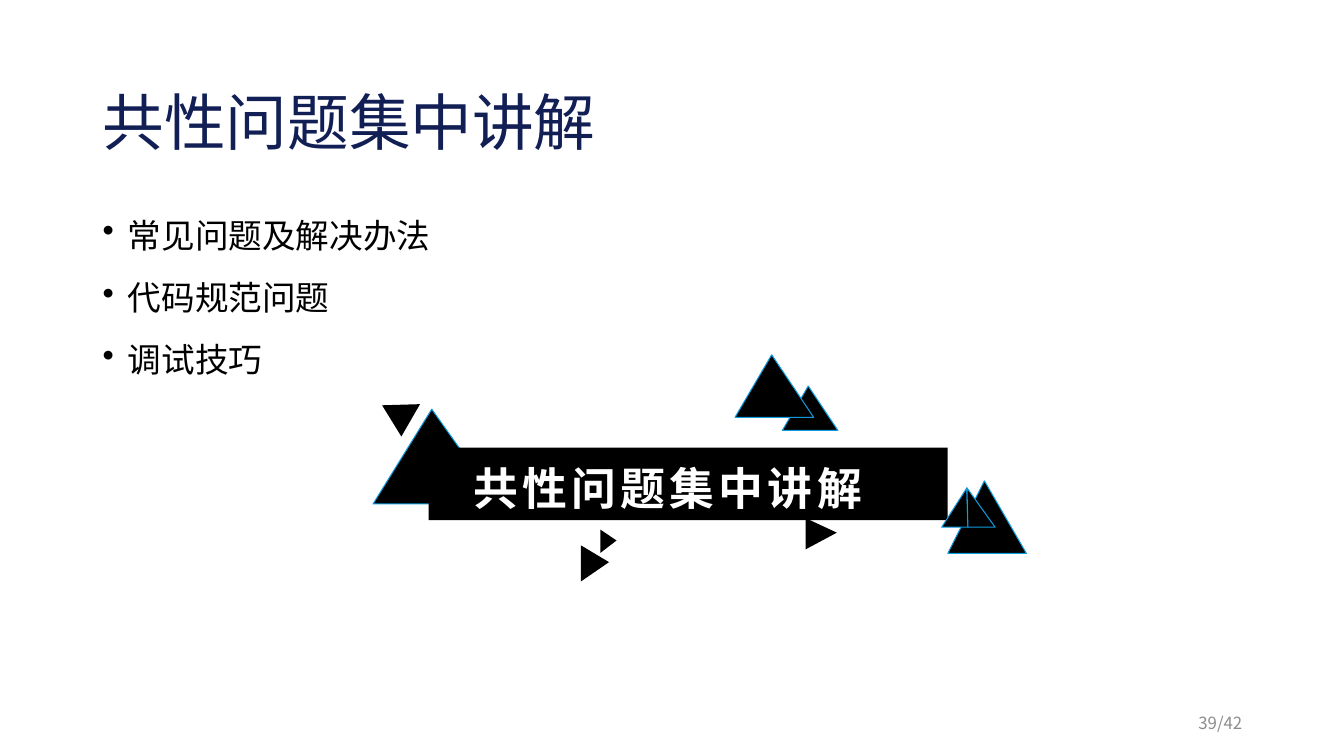
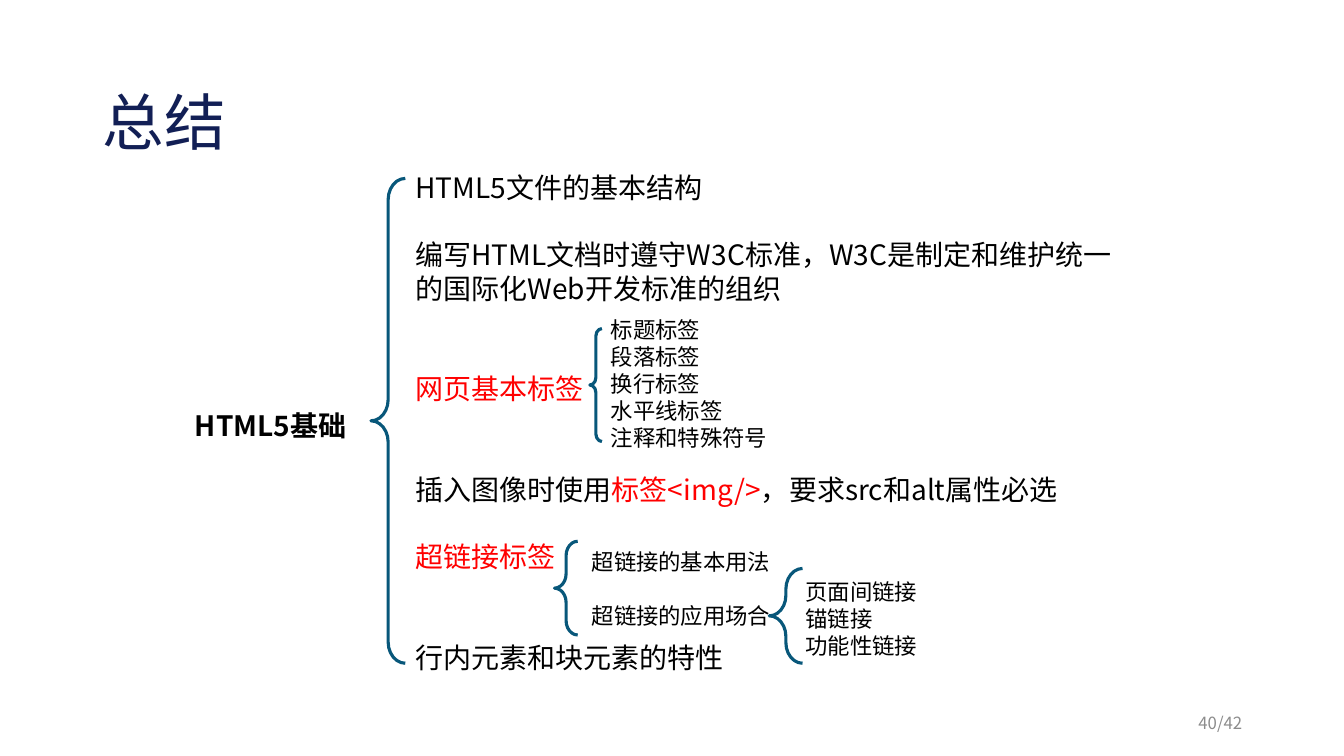
"""Build two course slides: a topic page with a banner and a bracketed summary."""
from dataclasses import dataclass

from lxml import etree
from pptx import Presentation
from pptx import util as u
from pptx.dml.color import RGBColor
from pptx.enum import shapes, text
from pptx.oxml.ns import qn


@dataclass(frozen=True)
class Theme:
    """Colours, font and type sizes shared by the slides."""
    font: str = "Noto Sans CJK SC"
    title: str = "121F55"
    ink: str = "000000"
    paper: str = "FFFFFF"
    accent: str = "FF0000"
    edge: str = "0E9CDE"
    brace: str = "08577A"
    footer: str = "8C8C8C"
    title_size: int = 44
    banner_size: int = 32
    body_size: int = 24
    outline_size: int = 20
    detail_size: int = 16
    footer_size: int = 12


@dataclass(frozen=True)
class Line:
    """One paragraph: (text, colour) runs and the points of space above."""
    runs: tuple
    gap: int = 0


THEME = Theme()
PAGE_COUNT = 42
TRIANGLE_SKEW = 0.466
BRACE_CURVE = 0.62


def rgb(colour):
    """Turn a hex string into a colour."""
    return RGBColor.from_string(colour)


def inches(*lengths):
    """Turn numbers into lengths in inches."""
    return [u.Inches(length) for length in lengths]


def add_bullet(paragraph):
    """Give a paragraph a hanging round bullet."""
    properties = paragraph._p.get_or_add_pPr()
    properties.set("marL", str(u.Inches(0.25)))
    properties.set("indent", str(-u.Inches(0.25)))
    etree.SubElement(properties, qn("a:buChar"), char="•")


def add_run(paragraph, wording, size, colour, bold, tracking):
    """Add one formatted run, with the font set for all scripts."""
    run = paragraph.add_run()
    run.text = wording
    run.font.name = THEME.font
    run.font.size = u.Pt(size)
    run.font.bold = bold
    run.font.color.rgb = rgb(colour)
    properties = run._r.get_or_add_rPr()
    etree.SubElement(properties, qn("a:ea"), typeface=THEME.font)
    if tracking:
        properties.set("spc", str(tracking * 100))


def write(frame, lines, *, size, colour=THEME.ink, bold=False, tracking=0, gap=0,
          leading=None, bullets=False, align=text.PP_ALIGN.LEFT,
          anchor=text.MSO_ANCHOR.TOP):
    """Fill a text frame with strings or Lines in one format."""
    frame.word_wrap = True
    frame.vertical_anchor = anchor
    for index, line in enumerate(lines):
        if isinstance(line, str):
            line = Line(((line, colour),), gap)
        paragraph = frame.paragraphs[0] if index == 0 else frame.add_paragraph()
        if bullets:
            add_bullet(paragraph)
        paragraph.alignment = align
        if leading:
            paragraph.line_spacing = leading
        if index and line.gap:
            paragraph.space_before = u.Pt(line.gap)
        for wording, run_colour in line.runs:
            add_run(paragraph, wording, size, run_colour, bold, tracking)


def add_text(slide, box, lines, **style):
    """Add a text box at (left, top, width, height)."""
    write(slide.shapes.add_textbox(*inches(*box)).text_frame, lines, **style)


def paint(shape, fill=None, line=None, weight=0.75):
    """Set fill and outline, leaving out whichever is not given."""
    shape.shadow.inherit = False
    if fill:
        shape.fill.solid()
        shape.fill.fore_color.rgb = rgb(fill)
    else:
        shape.fill.background()
    if line:
        shape.line.color.rgb = rgb(line)
        shape.line.width = u.Pt(weight)
    else:
        shape.line.fill.background()


def add_triangle(group, box, rotation=0, line=None):
    """Add a black triangle."""
    triangle = group.shapes.add_shape(
        shapes.MSO_SHAPE.ISOSCELES_TRIANGLE, *inches(*box))
    triangle.adjustments[0] = TRIANGLE_SKEW
    triangle.rotation = rotation
    paint(triangle, THEME.ink, line)


def add_facet(group, corners):
    """Add an outlined black polygon."""
    start, *others = [inches(*corner) for corner in corners]
    builder = group.shapes.build_freeform(*start)
    builder.add_line_segments(others, close=True)
    paint(builder.convert_to_shape(), THEME.ink, THEME.edge)


def add_brace(slide, box):
    """Add a left brace that gathers a list."""
    brace = slide.shapes.add_shape(shapes.MSO_SHAPE.LEFT_BRACE, *inches(*box))
    brace.adjustments[0] = BRACE_CURVE
    paint(brace, line=THEME.brace, weight=2.25)


def add_banner(slide, wording):
    """Add the black banner with its scattered triangles."""
    group = slide.shapes.add_group_shape()
    add_triangle(group, (3.7, 4.06, 1.25, 0.94), line=THEME.edge)
    add_triangle(group, (9.4, 4.77, 0.78, 0.72), line=THEME.edge)
    add_triangle(group, (5.92, 5.29, 0.23, 0.16), rotation=90)
    add_triangle(group, (3.75, 3.93, 0.37, 0.32), rotation=300)

    bar = group.shapes.add_shape(
        shapes.MSO_SHAPE.RECTANGLE, *inches(4.25, 4.44, 5.15, 0.72))
    paint(bar, THEME.ink)
    frame = bar.text_frame
    frame.margin_top = u.Inches(0.13)
    frame.margin_right = u.Inches(0.5)
    write(frame, [wording], size=THEME.banner_size, colour=THEME.paper, bold=True,
          tracking=3, align=text.PP_ALIGN.CENTER)

    add_triangle(group, (7.76, 3.83, 0.55, 0.44), line=THEME.edge)
    add_triangle(group, (7.29, 3.52, 0.78, 0.62), line=THEME.edge)
    add_triangle(group, (5.72, 5.45, 0.36, 0.28), rotation=90)
    add_triangle(group, (7.99, 5.14, 0.31, 0.31), rotation=90)
    for outer in (9.34, 9.87):
        add_facet(group, [(outer, 5.23), (9.59, 4.84), (9.6, 5.23)])


def add_page(deck, title, number):
    """Add a blank slide with its title and page number."""
    slide = deck.slides.add_slide(deck.slide_layouts[6])
    slide.background.fill.solid()
    slide.background.fill.fore_color.rgb = rgb(THEME.paper)
    add_text(slide, (0.92, 0.4, 11.5, 1.45), [title], size=THEME.title_size,
             colour=THEME.title, leading=1.2, anchor=text.MSO_ANCHOR.MIDDLE)
    add_text(slide, (9.42, 6.95, 3, 0.4), [f"{number}/{PAGE_COUNT}"],
             size=THEME.footer_size, colour=THEME.footer, leading=1.2,
             align=text.PP_ALIGN.RIGHT, anchor=text.MSO_ANCHOR.MIDDLE)
    return slide


def build_topics(deck):
    """Build the slide of common problems."""
    topic = "共性问题集中讲解"
    slide = add_page(deck, topic, 39)
    add_text(slide, (0.92, 2, 11.5, 4.76),
             ["常见问题及解决办法", "代码规范问题", "调试技巧"],
             size=THEME.body_size, leading=1.2, gap=10, bullets=True)
    add_banner(slide, topic)


def build_summary(deck):
    """Build the bracketed summary slide."""
    slide = add_page(deck, "总结", 40)
    ink, accent = THEME.ink, THEME.accent
    row = 24
    outline = [
        "HTML5文件的基本结构",
        Line((("编写HTML文档时遵守W3C标准，W3C是制定和维护统一的国际化Web开发标准的组织", ink),), row),
        Line((("网页基本标签", accent),), 2 * row),
        Line((("插入图像时使用", ink), ("标签<img/>", accent),
              ("，要求src和alt属性必选", ink)), 2 * row),
        Line((("超链接标签", accent),), row),
        Line((("行内元素和块元素的特性", ink),), 2 * row),
    ]
    add_text(slide, (4.02, 1.64, 7.22, 5.15), outline, size=THEME.outline_size)
    add_text(slide, (1.69, 4, 1.99, 0.44), ["HTML5基础"], size=THEME.outline_size,
             bold=True, align=text.PP_ALIGN.CENTER)

    details = [
        ((5.77, 5.39, 2.28, 0.91), 19, ["超链接的基本用法", "超链接的应用场合"]),
        ((5.96, 3.09, 2.22, 1.45), 0,
         ["标题标签", "段落标签", "换行标签", "水平线标签", "注释和特殊符号"]),
        ((7.89, 5.69, 2.22, 0.91), 0, ["页面间链接", "锚链接", "功能性链接"]),
    ]
    for box, gap, entries in details:
        add_text(slide, box, entries, size=THEME.detail_size, gap=gap)

    for box in [(3.68, 1.77, 0.34, 4.81), (5.85, 3.26, 0.12, 1.12),
                (5.5, 5.37, 0.23, 0.93), (7.63, 5.64, 0.33, 0.94)]:
        add_brace(slide, box)


def main():
    """Build and save the deck."""
    deck = Presentation()
    deck.slide_width, deck.slide_height = inches(13.33, 7.5)
    build_topics(deck)
    build_summary(deck)
    deck.save("out.pptx")


if __name__ == "__main__":
    main()
